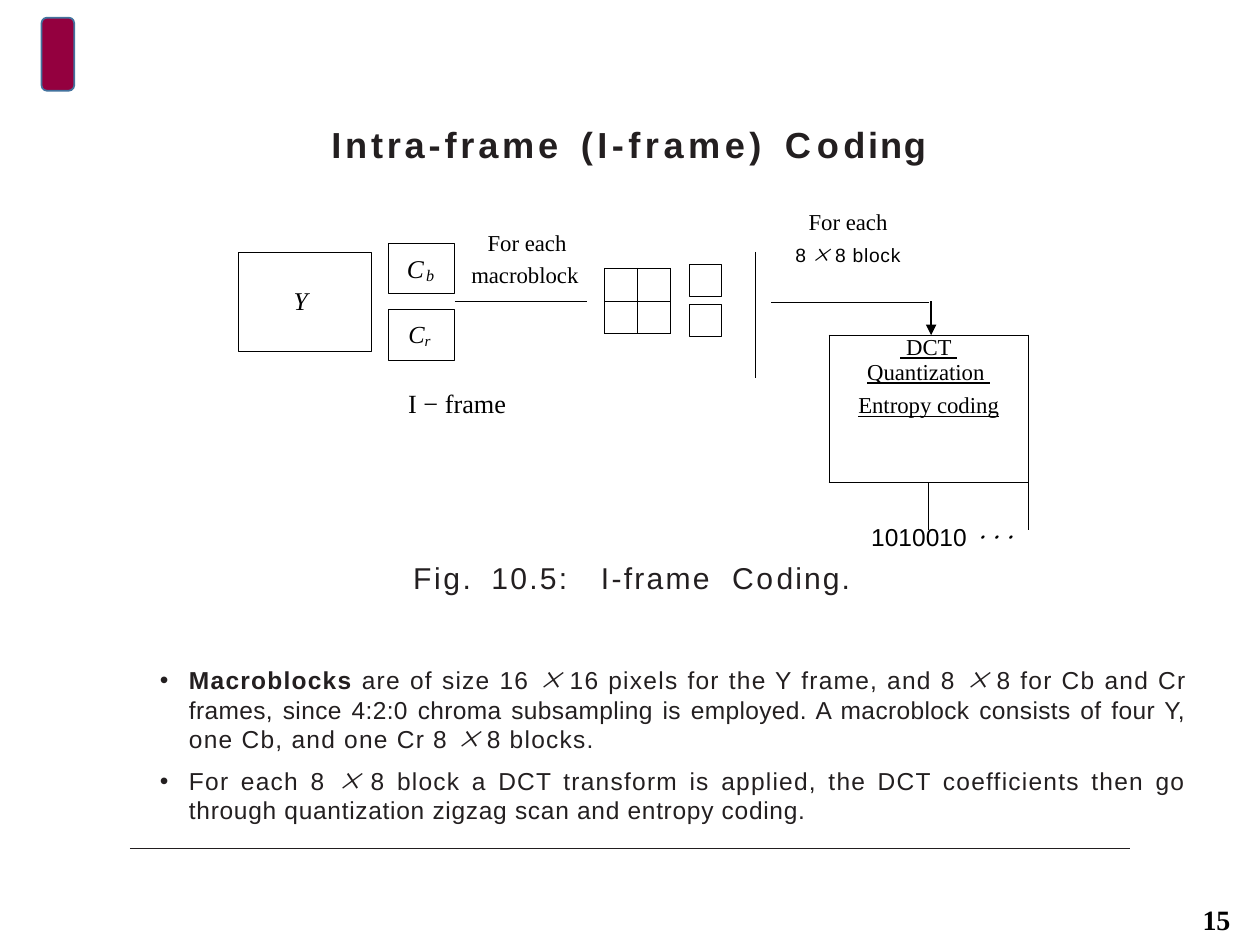
"""Build the slide on intra-frame coding of a video frame."""
import pptx
import pptx.dml.color
import pptx.enum.shapes
import pptx.enum.text
import pptx.oxml.ns
import pptx.util
from lxml import etree

Inches, Pt = pptx.util.Inches, pptx.util.Pt
qn = pptx.oxml.ns.qn
Shape = pptx.enum.shapes.MSO_SHAPE
Align = pptx.enum.text.PP_ALIGN

THEME = {
    "ink": "000000", "gray": "231F20", "rule": "221E1F",
    "tab": "94003F", "edge": "43739E",
    "sans": "Arial", "serif": "Times New Roman", "math": "Noto Sans CJK JP",
    "title": 20.7, "fig": 17.2, "mark": 14.6, "body": 14, "note": 13,
    "small": 11, "page": 16, "thin": 0.54, "bare": "{2D5ABB26-0587-4C30-8999-92F81FD0307C}",
}


def style(face, size, tone="ink", **more):
    return dict(face=THEME[face], size=THEME[size], tone=THEME[tone], **more)


NOTE = style("serif", "note")
HEAD = style("sans", "title", "gray", bold=True)
FIG = style("sans", "fig", "gray")
MARK = style("serif", "mark", italic=True)
CHROMA = style("serif", "body", italic=True)
PLAIN = style("serif", "body")
BODY = style("sans", "body", "gray")
SIGN = style("math", "body", "gray", italic=True)
LINK = dict(NOTE, underline=True)
TIMES = ("× ", SIGN, 0)

# Each run is (text, style, letter spacing[, baseline]).
ITEMS = [
    [("Macroblocks ", dict(BODY, bold=True), 0.7), ("are of size 16 ", BODY, 0.7), TIMES,
     ("16 pixels for the Y frame, and 8 ", BODY, 0.7), TIMES,
     ("8 for Cb and Cr ", BODY, 0.7),
     ("frames, since 4:2:0 chroma subsampling is employed. "
      "A macroblock consists of four Y, ", BODY, 0.2),
     ("one Cb, and one Cr 8 ", BODY, 0.7), TIMES, ("8 blocks.", BODY, 0.7)],
    [("For each 8 ", BODY, 0.7), TIMES,
     ("8 block a DCT transform is applied, the DCT coefficients then go ", BODY, 0.7),
     ("through quantization zigzag scan and entropy coding.", BODY, 0.4)],
]
STEPS = [
    ([(" DCT ", LINK, 0)], {"alignment": Align.CENTER}),
    ([("Quantization ", LINK, 0)], {"alignment": Align.CENTER}),
    ([("Entropy coding", LINK, 0)], {"alignment": Align.CENTER, "space_before": Pt(4.7)}),
]
# Each text is (place, paragraphs, tab stops); a paragraph is (runs, format).
TEXTS = [
    ((2.63, 0.97, 4.9, 0.36),
     [([("Intra-frame\t", HEAD, 2.2), ("(I-frame)\t", HEAD, 2.6), ("C", HEAD, 3.4),
        ("o", HEAD, 2.5), ("d", HEAD, 1.5), ("ing", HEAD, 1.1)], {})], (1.98, 3.6)),
    ((3.74, 1.77, 0.95, 0.54),
     [([("For each", NOTE, 0)], {"line_spacing": 1.2, "indent": 0.13}),
      ([("macroblock", NOTE, 0)], {"line_spacing": 1.2})], ()),
    ((3.24, 2.52, 0.35, 0.28), [([("C", CHROMA, 0), ("r", dict(CHROMA, size=15), 0, -9)], {})], ()),
    ((3.24, 3.07, 1.2, 0.28), [([("I − frame", dict(PLAIN, size=15), 0)], {})], ()),
    ((6.6, 4.14, 1.5, 0.3),
     [([("1010010 ", dict(BODY, tone=THEME["ink"]), 0),
        ("··· ", dict(SIGN, tone=THEME["ink"]), 0)], {"alignment": Align.RIGHT})], ()),
    ((6.24, 1.65, 0.98, 0.55),
     [([("For each", NOTE, 0)], {"alignment": Align.CENTER}),
      ([("8 ", style("sans", "small"), 0), ("× ", style("math", "small", italic=True), 0),
        ("8 block", style("sans", "small"), 0.4)],
       {"alignment": Align.CENTER, "space_before": Pt(4.5)})], ()),
    ((3.23, 1.99, 0.3, 0.28),
     [([("C", MARK, 1.2), ("b", dict(MARK, size=15.9), -0.8, -12)], {})], ()),
    ((2.33, 2.26, 0.2, 0.26), [([("Y", MARK, 0.8)], {})], ()),
    ((3.28, 4.44, 1.4, 0.3), [([("Fig.\t", FIG, 1.5), ("10.5:", FIG, 1.3)], {})], (0.62,)),
    ((4.77, 4.44, 2.63, 0.3),
     [([("I-frame\t", FIG, 1.3), ("C", FIG, 1.6), ("o", FIG, 1.9),
        ("ding.", FIG, 1.2)], {})], (1.04,)),
    ((1.26, 5.28, 8.16, 1.27),
     [(runs, {"alignment": Align.JUSTIFY, "line_spacing": Pt(16.8), "bullet": "•",
              "space_before": Pt(7.1 * row)}) for row, runs in enumerate(ITEMS)], ()),
    ((9.33, 7.16, 0.65, 0.3),
     [([("15", style("serif", "page", bold=True), 0)], {"alignment": Align.CENTER})], ()),
]
BOXES = [(1.89, 2, 1.06, 0.79)]
BOXES += [(3.08, top, 0.53, 0.4) for top in (1.93, 2.46)]
BOXES += [(5.47, top, 0.26, 0.25) for top in (2.1, 2.42)]
BRACE = [(5.9, 2.08), (5.92, 2.09), (5.96, 2.15), (5.98, 2.2), (5.99, 2.26), (6.01, 2.31),
         (6.03, 2.35), (6.07, 2.39), (6.07, 2.4), (6.04, 2.45), (6.01, 2.5), (6, 2.55),
         (5.99, 2.61), (5.96, 2.65), (5.93, 2.69), (5.91, 2.7)]
BARB = [(4.55, 2.42), (4.66, 2.39), (4.55, 2.37)]
LINES = [((3.61, 2.39, 4.66, 2.39), "ink", THEME["thin"], False),
         ((1.03, 6.73, 8.97, 6.73), "rule", 0.48, False),
         ((7.39, 2.39, 7.39, 2.66), "ink", 0.75, True)]
# Each grid is (place, widths, heights, merges, cell edges, cell text).
GRIDS = [
    ((6.12, 2.4), (0.46, 0.79, 0.79), (0.26, 1.17, 0.38),
     [((0, 0), (0, 1)), ((1, 1), (1, 2)), ((2, 0), (2, 1))],
     {(0, 0): "T", (0, 1): "T", (0, 2): "B", (1, 1): "LRTB", (1, 2): "RTB", (2, 2): "LRT"},
     {(1, 1): STEPS}),
    ((4.8, 2.13), (0.26,) * 2, (0.26,) * 2, [],
     {(row, col): "LRTB" for row in range(2) for col in range(2)}, {}),
]


def tint(name):
    return pptx.dml.color.RGBColor.from_string(name)


def add(root, tag, **attrs):
    node = etree.SubElement(root, qn("a:" + tag))
    for key, value in attrs.items():
        node.set(key, str(value))
    return node


def stroke(shape, tone="ink", width=THEME["thin"]):
    shape.line.color.rgb = tint(THEME[tone])
    shape.line.width = Pt(width)


def write(frame, paras, stops=()):
    for row, (runs, form) in enumerate(paras):
        para = frame.paragraphs[0] if row == 0 else frame.add_paragraph()
        props = para._p.get_or_add_pPr()
        for key, value in form.items():
            if key == "bullet":
                props.set("marL", str(Inches(0.24)))
                props.set("indent", str(Inches(-0.23)))
                add(add(props, "buClr"), "srgbClr", val=THEME["gray"])
                add(props, "buFont", typeface=THEME["sans"])
                add(props, "buChar", char=value)
            elif key == "indent":
                props.set("indent", str(Inches(value)))
            else:
                setattr(para, key, value)
        if stops:
            tabs = add(props, "tabLst")
            for stop in stops:
                add(tabs, "tab", pos=Inches(stop), algn="l")
        for text, look, gap, *base in runs:
            run = para.add_run()
            run.text = text
            for key, value in look.items():
                if key == "face":
                    run.font.name = value
                elif key == "tone":
                    run.font.color.rgb = tint(value)
                else:
                    setattr(run.font, key, Pt(value) if key == "size" else value)
            mark = run._r.get_or_add_rPr()
            mark.set("spc", str(round(gap * 100)))
            if base:
                mark.set("baseline", str(base[0] * 1000))
            if look["face"] == THEME["math"]:
                add(mark, "ea", typeface=look["face"])


def bare(box):
    for side in ("left", "top", "right", "bottom"):
        setattr(box, "margin_" + side, 0)


def outline(shapes, points):
    pen = shapes.build_freeform(*points[0], scale=Inches(1))
    pen.add_line_segments(points[1:], close=False)
    shape = pen.convert_to_shape()
    shape.shadow.inherit = False
    shape.fill.background()
    stroke(shape)


def grid(shapes, place, cols, rows, merges, edges, words):
    size = (*place, sum(cols), sum(rows))
    table = shapes.add_table(len(rows), len(cols), *map(Inches, size)).table
    table.first_row = table.horz_banding = False
    table._tbl.tblPr.find(qn("a:tableStyleId")).text = THEME["bare"]
    for line, spans, key in ((table.columns, cols, "width"), (table.rows, rows, "height")):
        for part, span in zip(line, spans):
            setattr(part, key, Inches(span))
    for start, end in merges:
        table.cell(*start).merge(table.cell(*end))
    for row in range(len(rows)):
        for col in range(len(cols)):
            cell = table.cell(row, col)
            bare(cell)
            props = cell._tc.get_or_add_tcPr()
            for edge in edges.get((row, col), ""):
                line = add(props, "ln" + edge, w=Pt(THEME["thin"]))
                add(add(line, "solidFill"), "srgbClr", val=THEME["ink"])
            cell.fill.background()
            if (row, col) in words:
                write(cell.text_frame, words[row, col])
            else:
                add(cell.text_frame.paragraphs[0]._p, "endParaRPr", sz=800)


def main():
    deck = pptx.Presentation()
    deck.slide_width, deck.slide_height = Inches(10), Inches(7.5)
    shapes = deck.slides.add_slide(deck.slide_layouts[6]).shapes
    flag = shapes.add_shape(Shape.ROUNDED_RECTANGLE, *map(Inches, (0.33, 0.14, 0.26, 0.58)))
    flag.shadow.inherit = False
    flag.fill.solid()
    flag.fill.fore_color.rgb = tint(THEME["tab"])
    stroke(flag, "edge", 1)
    for place in BOXES:
        box = shapes.add_shape(Shape.RECTANGLE, *map(Inches, place))
        box.shadow.inherit = False
        box.fill.background()
        stroke(box)
    for points in (BRACE, BARB):
        outline(shapes, points)
    for item in GRIDS:
        grid(shapes, *item)
    for ends, tone, width, tip in LINES:
        line = shapes.add_connector(pptx.enum.shapes.MSO_CONNECTOR.STRAIGHT, *map(Inches, ends))
        stroke(line, tone, width)
        if tip:
            add(line.line._get_or_add_ln(), "tailEnd", type="triangle")
        add(line._element.spPr, "effectLst")
    for place, paras, stops in TEXTS:
        frame = shapes.add_textbox(*map(Inches, place)).text_frame
        frame.word_wrap = True
        bare(frame)
        write(frame, paras, stops)
    deck.save("out.pptx")


if __name__ == "__main__":
    main()
